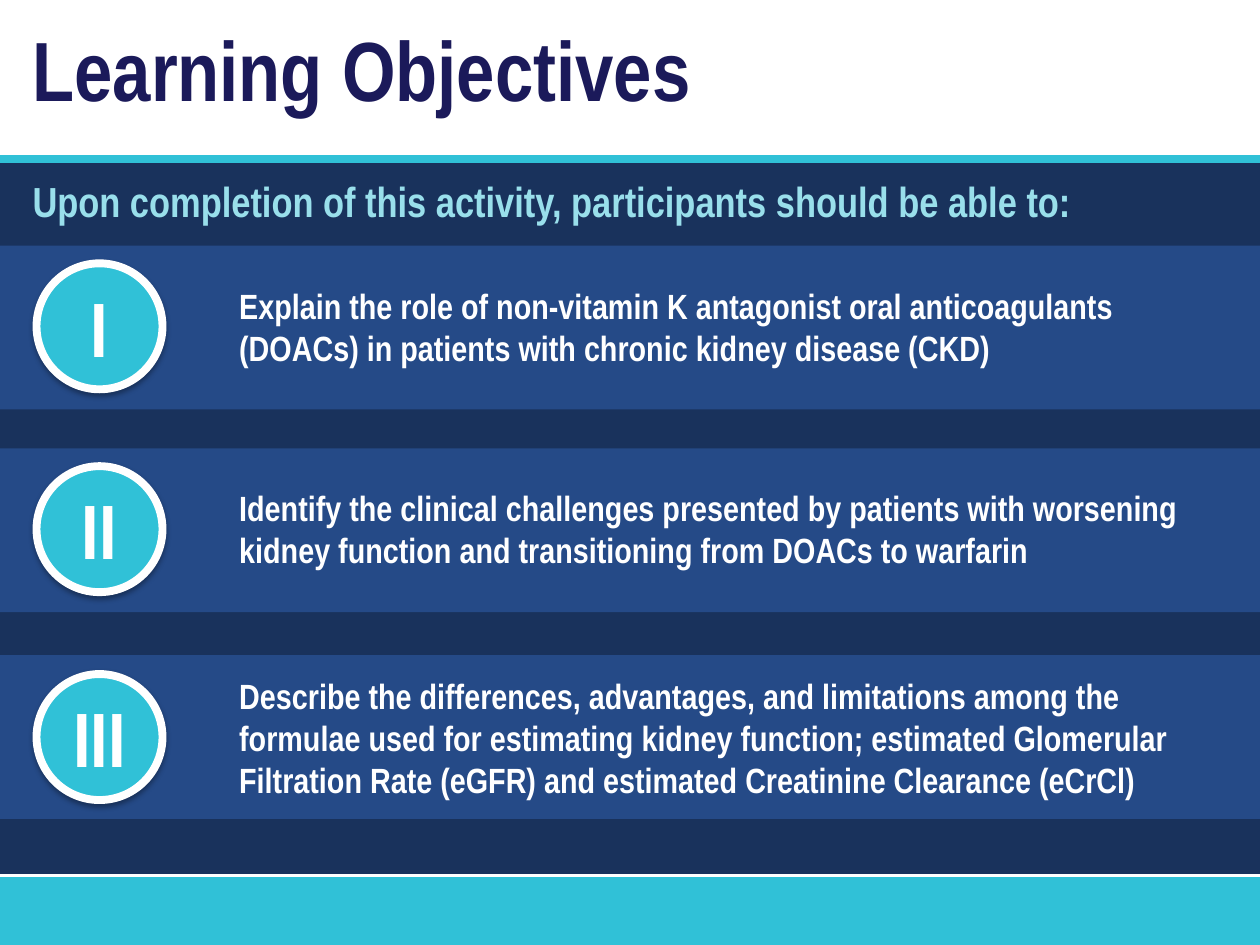
import pptx
import pptx.dml.color
import pptx.enum.shapes
import pptx.enum.text
import pptx.oxml
import pptx.oxml.ns
import pptx.util
from lxml import etree

WIDTH, HEIGHT = 10, 7.5
FONT = "Arial Narrow"
COLORS = {
    "navy": "19325C",
    "blue": "254A87",
    "teal": "30C1D7",
    "pale": "99DFEB",
    "title": "1B1A5A",
    "white": "FFFFFF",
}
BAND_HEIGHT, BADGE_SIZE = 1.3, 1
BADGE_LEFT, TEXT_LEFT, HEADING_LEFT = 0.29, 1.8, 0.16
OBJECTIVES = [
    ("I", 1.95, 2.09, (2.21, 7.91, 0.77),
     "Explain the role of non-vitamin K antagonist oral anticoagulants "
     "(DOACs) in patients with chronic kidney disease (CKD)"),
    ("II", 3.56, 3.7, (3.81, 7.65, 0.77),
     "Identify the clinical challenges presented by patients with worsening "
     "kidney function and transitioning from DOACs to warfarin"),
    ("III", 5.2, 5.35, (5.3, 7.91, 1.11),
     "Describe the differences, advantages, and limitations among the "
     "formulae used for estimating kidney function; estimated Glomerular "
     "Filtration Rate (eGFR) and estimated Creatinine Clearance (eCrCl)"),
]
SHADOW = (
    '<a:effectLst xmlns:a="http://schemas.openxmlformats.org/drawingml/2006/main">'
    '<a:outerShdw blurRad="40000" dist="23000" dir="5400000" rotWithShape="0">'
    '<a:srgbClr val="000000"><a:alpha val="35000"/></a:srgbClr>'
    '</a:outerShdw></a:effectLst>'
)


def inches(*lengths):
    """Convert lengths in inches to slide units."""
    return [pptx.util.Inches(length) for length in lengths]


def rgb(name):
    """Return the named colour."""
    return pptx.dml.color.RGBColor.from_string(COLORS[name])


def write(shape, text, size, color):
    """Put one bold paragraph into a shape and return it."""
    shape.text_frame.word_wrap = True
    para = shape.text_frame.paragraphs[0]
    para.text = text
    para.font.name = FONT
    para.font.size = pptx.util.Pt(size)
    para.font.bold = True
    para.font.color.rgb = rgb(color)
    return para


def add_text(page, area, text, size, color):
    """Add a wrapped text box."""
    write(page.shapes.add_textbox(*inches(*area)), text, size, color)


def add_filled(page, kind, area, color, shadow=False):
    """Add a filled shape without outline, with an optional soft shadow."""
    shape = page.shapes.add_shape(kind, *inches(*area))
    shape.fill.solid()
    shape.fill.fore_color.rgb = rgb(color)
    shape.line.fill.background()
    shape.shadow.inherit = False
    if shadow:
        effects = shape.element.spPr.find(pptx.oxml.ns.qn("a:effectLst"))
        effects.getparent().replace(effects, pptx.oxml.parse_xml(SHADOW))
    return shape


def add_band(page, top, height, color, shadow=False):
    """Add a rectangle across the full slide width."""
    kind = pptx.enum.shapes.MSO_SHAPE.RECTANGLE
    add_filled(page, kind, (0, top, WIDTH, height), color, shadow)


def add_rule(page, top, color, weight):
    """Add a horizontal line across the full slide width."""
    kind = pptx.enum.shapes.MSO_CONNECTOR.STRAIGHT
    rule = page.shapes.add_connector(kind, *inches(0, top, WIDTH, top))
    rule.line.color.rgb = rgb(color)
    rule.line.width = pptx.util.Pt(weight)
    etree.SubElement(rule.element.spPr, pptx.oxml.ns.qn("a:effectLst"))


def add_badge(page, top, numeral):
    """Add a round badge with a Roman numeral."""
    kind = pptx.enum.shapes.MSO_SHAPE.FLOWCHART_CONNECTOR
    area = (BADGE_LEFT, top, BADGE_SIZE, BADGE_SIZE)
    badge = add_filled(page, kind, area, "teal", shadow=True)
    badge.line.color.rgb = rgb("white")
    badge.line.width = pptx.util.Pt(4.5)
    badge.text_frame.vertical_anchor = pptx.enum.text.MSO_ANCHOR.MIDDLE
    para = write(badge, numeral, 44, "white")
    para.alignment = pptx.enum.text.PP_ALIGN.CENTER


def add_objective(page, numeral, band_top, badge_top, text_area, text):
    """Add one objective: band, badge and wording."""
    add_band(page, band_top, BAND_HEIGHT, "blue")
    add_badge(page, badge_top, numeral)
    top, width, height = text_area
    add_text(page, (TEXT_LEFT, top, width, height), text, 20, "white")


def main():
    """Build the learning objectives slide."""
    deck = pptx.Presentation()
    deck.slide_width, deck.slide_height = inches(WIDTH, HEIGHT)
    page = deck.slides.add_slide(deck.slide_layouts[6])
    add_band(page, 1.26, 5.7, "navy")
    add_band(page, 6.96, 0.54, "teal", shadow=True)
    add_rule(page, 1.26, "teal", 4.5)
    add_rule(page, 6.95, "white", 1.5)
    for objective in OBJECTIVES:
        add_objective(page, *objective)
    add_text(page, (HEADING_LEFT, 0.09, 8.82, 0.91), "Learning Objectives", 48, "title")
    add_text(page, (HEADING_LEFT, 1.34, 9.49, 0.6),
             "Upon completion of this activity, participants should be able to:", 24, "pale")
    deck.save("out.pptx")


if __name__ == "__main__":
    main()
